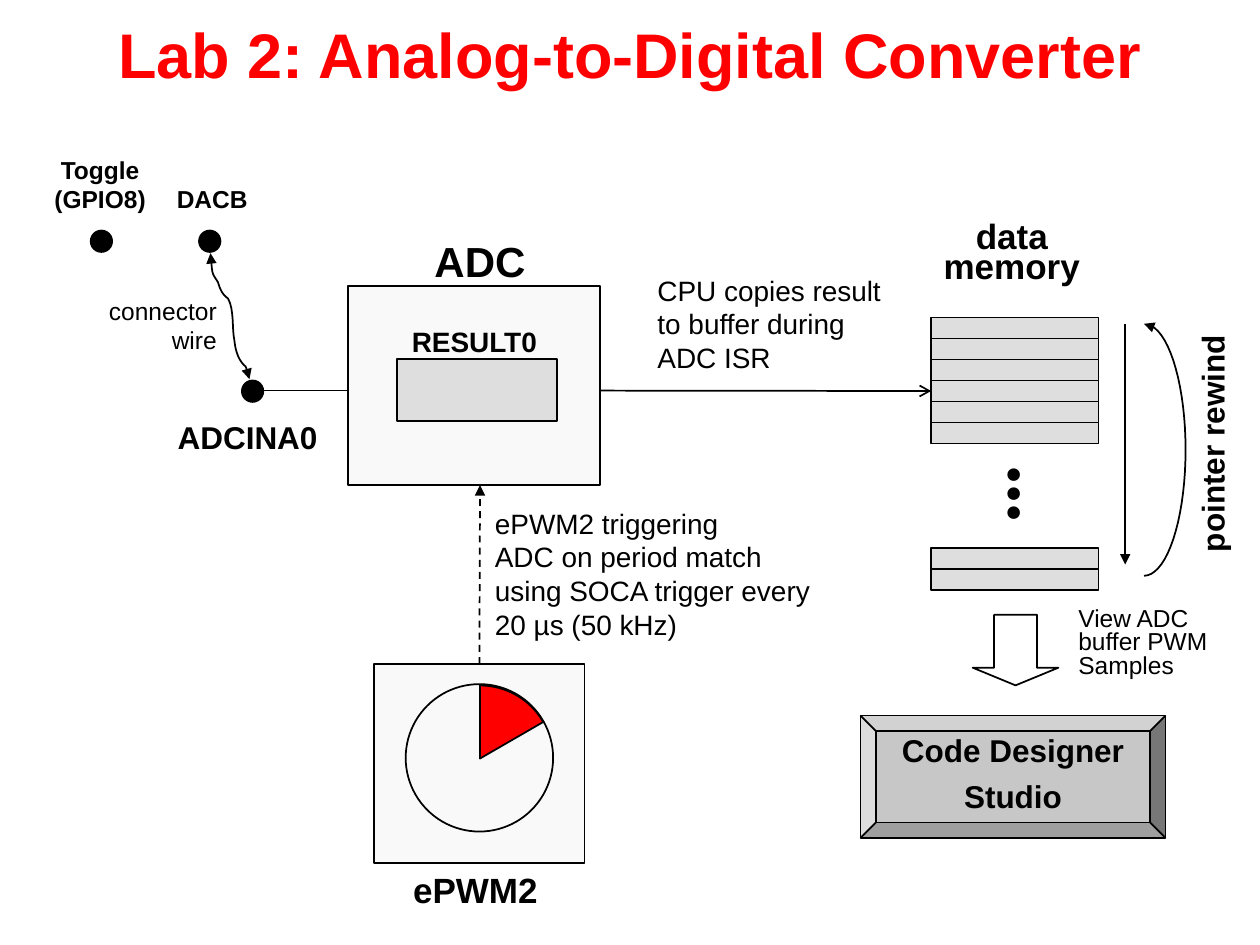
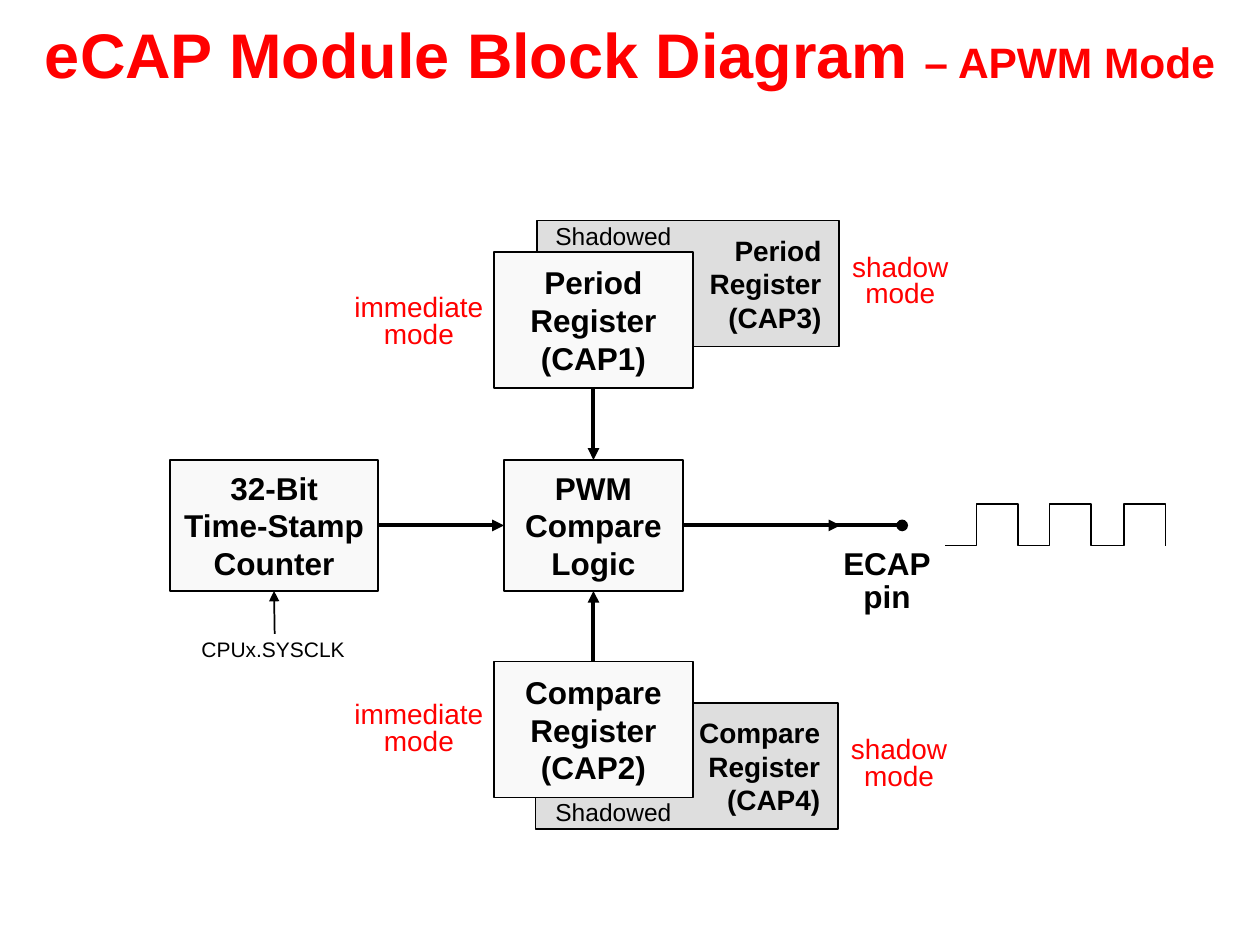
"""Build two diagram slides: the ADC lab and the eCAP module in APWM mode."""
import math

from lxml import etree
from pptx import Presentation
from pptx.dml.color import RGBColor
from pptx.enum import dml, shapes, text
from pptx.oxml.ns import qn
from pptx.util import Inches, Pt

COLORS = {"ink": "000000", "red": "FF0000", "panel": "F9F9F9",
          "cell": "DEDEDE", "bevel": "C7C7C7"}
ALIGN = {"l": text.PP_ALIGN.LEFT, "c": text.PP_ALIGN.CENTER, "r": text.PP_ALIGN.RIGHT}
FONT = "Arial"
SHAPE = shapes.MSO_SHAPE


def stroke(sp, width=1, head=None, tail=None):
    sp.line.color.rgb = RGBColor.from_string(COLORS["ink"])
    sp.line.width = Pt(width)
    ln = sp.element.spPr.find(qn("a:ln"))
    for tag, kind in (("a:headEnd", head), ("a:tailEnd", tail)):
        if kind:
            etree.SubElement(ln, qn(tag), type=kind)


def box(s, kind, at, words="", size=16, bold=False, align="c", color="ink",
        fill=None, spacing=None, before=0, wrap=False, font=FONT):
    at = [Inches(v) for v in at]
    if kind is None:
        sp = s.shapes.add_textbox(*at)
    else:
        sp = s.shapes.add_shape(kind, *at)
        sp.shadow.inherit = False
        stroke(sp)
        if fill:
            sp.fill.solid()
            sp.fill.fore_color.rgb = RGBColor.from_string(COLORS[fill])
        else:
            sp.fill.background()
    if not words:
        return sp
    tf = sp.text_frame
    tf.word_wrap = wrap
    for i, line in enumerate(words.split("\n")):
        p = tf.paragraphs[0] if i == 0 else tf.add_paragraph()
        p.alignment = ALIGN[align]
        if spacing:
            p.line_spacing = spacing
        if i and before:
            p.space_before = Pt(before)
        r = p.add_run()
        r.text = line
        r.font.name, r.font.size, r.font.bold = font, Pt(size), bold
        r.font.color.rgb = RGBColor.from_string(COLORS[color])
    return sp


prs = Presentation()
prs.slide_width, prs.slide_height = Inches(10), Inches(7.5)

titles = [
    [("Lab 2: Analog-to-Digital Converter", 36)],
    [("eCAP Module Block Diagram", 36), (" ", 32.4), ("– APWM Mode", 24.3)],
]
for runs in titles:
    s = prs.slides.add_slide(prs.slide_layouts[5])
    title = s.shapes.title
    title.left, title.top, title.width, title.height = (
        Inches(v) for v in (0, 0.01, 10, 0.67))
    tf = title.text_frame
    tf.auto_size = text.MSO_AUTO_SIZE.NONE
    tf.vertical_anchor = text.MSO_ANCHOR.TOP
    tf.margin_top, tf.margin_bottom = Inches(0.11), 0
    p = tf.paragraphs[0]
    p.alignment = ALIGN["c"]
    for words, size in runs:
        r = p.add_run()
        r.text = words
        r.font.name, r.font.size, r.font.bold = FONT, Pt(size), True
        r.font.color.rgb = RGBColor.from_string(COLORS["red"])
lab, ecap = prs.slides

box(lab, SHAPE.RECTANGLE, (2.76, 2.27, 2, 1.58), fill="panel")
box(lab, SHAPE.RECTANGLE, (3.15, 2.85, 1.27, 0.49), fill="cell")
epwm = box(lab, SHAPE.RECTANGLE, (2.97, 5.27, 1.67, 1.58), fill="panel")
box(lab, SHAPE.OVAL, (3.22, 5.43, 1.17, 1.17))
for x, y in ((1.92, 3.02), (1.58, 1.83), (0.72, 1.83)):
    box(lab, SHAPE.OVAL, (x, y, 0.17, 0.17), fill="ink")

rows = [box(lab, SHAPE.RECTANGLE, (7.39, top + i / 6, 1.33, 1 / 6), fill="cell")
        for top, count in ((2.52, 6), (4.35, 2)) for i in range(count)]
target = rows[3]

for at, words, size, align in (
    ((3.35, 1.82, 0.93, 0.5), "ADC", 24, "l"),
    ((1.31, 3.27, 1.31, 0.4), "ADCINA0", 18, "c"),
    ((3.17, 2.53, 1.2, 0.37), "RESULT0", 16, "l"),
    ((3.18, 6.84, 1.19, 0.43), "ePWM2", 20, "l"),
    ((1.3, 1.41, 0.77, 0.34), "DACB", 14, "c"),
    ((0.33, 1.18, 0.93, 0.57), "Toggle\n(GPIO8)", 14, "c"),
):
    box(lab, None, at, words, size, True, align)
memory = box(lab, None, (7.39, 1.65, 1.28, 0.67), "data\nmemory", 20, True)
memory.text_frame.paragraphs[1].line_spacing = 0.7
dots = box(lab, None, (7.92, 3.51, 0.66, 0.83), "...", 44, True, "l",
           font="Times New Roman")
dots.rotation = 90
rewind = box(lab, None, (8.66, 3.32, 1.92, 0.4), "pointer rewind", 18, True, "l")
rewind.rotation = 270
box(lab, None, (5.12, 2.12, 2, 0.91),
    "CPU copies result\nto buffer during\nADC ISR", align="l")
box(lab, None, (3.83, 3.97, 2.83, 1.18),
    "ePWM2 triggering\nADC on period match using SOCA trigger every 20 µs (50 kHz)",
    align="l", wrap=True)
box(lab, None, (0.76, 2.3, 1.06, 0.57), "connector\nwire", 14, align="r")
box(lab, SHAPE.DOWN_ARROW, (7.72, 4.88, 0.68, 0.56)).adjustments[1] = 0.25
box(lab, None, (8.46, 4.78, 1.29, 0.67), "View ADC buffer PWM Samples", 14,
    align="l", spacing=0.8, wrap=True)
box(lab, SHAPE.BEVEL, (6.83, 5.68, 2.42, 0.97), "Code Designer\nStudio", 18, True,
    fill="bevel", spacing=0.8, before=9)

stamp = box(ecap, SHAPE.RECTANGLE, (1.35, 3.65, 1.65, 1.04),
            "32-Bit\nTime-Stamp\nCounter", 18, True, fill="panel")
logic = box(ecap, SHAPE.RECTANGLE, (4, 3.65, 1.42, 1.04),
            "PWM\nCompare\nLogic", 18, True, fill="panel")
registers = []
for name, active, hidden, y, shadow_x, shadow_y, note_y, now_y, later_y in (
    ("Period", 1, 3, 2, 4.26, 1.75, 1.75, 2.3, 1.98),
    ("Compare", 2, 4, 5.25, 4.25, 5.58, 6.32, 5.53, 5.81),
):
    shadow = box(ecap, SHAPE.RECTANGLE, (shadow_x, shadow_y, 2.4, 1),
                 f"{name}\nRegister\n(CAP{hidden})", 16, True, "r", fill="cell")
    shadow.text_frame.margin_right = Inches(0.14)
    registers.append(box(ecap, SHAPE.RECTANGLE, (3.92, y, 1.58, 1.08),
                         f"{name}\nRegister\n(CAP{active})", 18, True, fill="panel"))
    box(ecap, None, (4.31, note_y, 1.13, 0.29), "Shadowed", 14, align="l", spacing=0.8)
    box(ecap, None, (2.71, now_y, 1.23, 0.53), "immediate\nmode", color="red", spacing=0.8)
    box(ecap, None, (shadow_x + 2.4, later_y, 0.97, 0.53), "shadow\nmode",
        color="red", spacing=0.8)
period, compare = registers
box(ecap, None, (6.59, 4.41, 0.9, 0.52), "ECAP\npin", 18, True, spacing=0.45, before=9)
box(ecap, None, (1.5, 5.04, 1.35, 0.26), "CPUx.SYSCLK", 12, align="l", spacing=0.8)

bends = [(1.67, 2.01), (1.69, 2.18), (1.67, 2.15), (1.73, 2.24),
         (1.75, 2.31), (1.77, 2.34), (1.81, 2.37),
         (1.86, 2.46), (1.84, 2.6), (1.86, 2.7),
         (1.87, 2.8), (1.9, 2.87), (1.95, 2.91),
         (1.96, 2.94), (1.98, 2.98), (1.98, 3.01)]
wire = []
for k in range(0, len(bends) - 1, 3):
    for t in (i / 8 for i in range(8)):
        weights = ((1 - t) ** 3, 3 * t * (1 - t) ** 2, 3 * t * t * (1 - t), t ** 3)
        wire.append([sum(w * pt[axis] for w, pt in zip(weights, bends[k:k + 4]))
                     for axis in (0, 1)])
wire.append(bends[-1])
turns = [math.radians(a) for a in range(-90, 91, 5)]
loop = [(9.08 + 0.33 * math.cos(a), 3.57 + math.sin(a)) for a in turns]
wedge = [(3.81, 6.02)] + [(3.81 + 0.58 * math.cos(a), 6.02 + 0.58 * math.sin(a))
                          for a in turns[:13]]
pulses = [(7.5, 4.33)]
for x in (7.75, 8.33, 8.92):
    pulses += [(x, 4.33), (x, 4), (x + 0.33, 4), (x + 0.33, 4.33)]

for s, points, fill, head, tail in (
    (lab, wire, None, "triangle", "triangle"),
    (lab, loop, None, "triangle", None),
    (lab, wedge, "red", None, None),
    (ecap, pulses, None, None, None),
):
    points = [(Inches(x), Inches(y)) for x, y in points]
    outline = s.shapes.build_freeform(*points[0])
    outline.add_line_segments(points[1:], close=bool(fill))
    sp = outline.convert_to_shape()
    sp.shadow.inherit = False
    stroke(sp, 1, head, tail)
    if fill:
        sp.fill.solid()
        sp.fill.fore_color.rgb = RGBColor.from_string(COLORS[fill])
    else:
        sp.fill.background()

for s, ends, width, head, tail, begin, end in (
    (lab, (4.76, 3.1, 7.39, 3.1), 1, None, "arrow", None, (target, 1)),
    (lab, (2.08, 3.1, 2.76, 3.1), 1, None, None, None, None),
    (lab, (8.93, 2.57, 8.93, 4.48), 1, None, "triangle", None, None),
    (lab, (3.81, 5.27, 3.81, 3.85), 1, None, "triangle", (epwm, 0), None),
    (ecap, (4.71, 3.08, 4.71, 3.65), 2.25, None, "triangle", (period, 2), (logic, 0)),
    (ecap, (4.71, 4.69, 4.71, 5.25), 2.25, "triangle", None, (logic, 2), (compare, 0)),
    (ecap, (3, 4.17, 4, 4.17), 2.25, None, "triangle", (stamp, 3), (logic, 1)),
    (ecap, (5.42, 4.17, 7.16, 4.17), 2.25, None, "oval", (logic, 3), None),
    (ecap, (6.58, 4.17, 6.67, 4.17), 2.25, None, "triangle", None, None),
    (ecap, (2.18, 4.69, 2.18, 5.03), 1, "triangle", None, (stamp, 2), None),
):
    line = s.shapes.add_connector(shapes.MSO_CONNECTOR.STRAIGHT,
                                  *(Inches(v) for v in ends))
    if begin:
        line.begin_connect(*begin)
    if end:
        line.end_connect(*end)
    stroke(line, width, head, tail)
    if begin and begin[0] is epwm:
        line.line.dash_style = dml.MSO_LINE.DASH
    etree.SubElement(line.element.spPr, qn("a:effectLst"))

prs.save("out.pptx")
